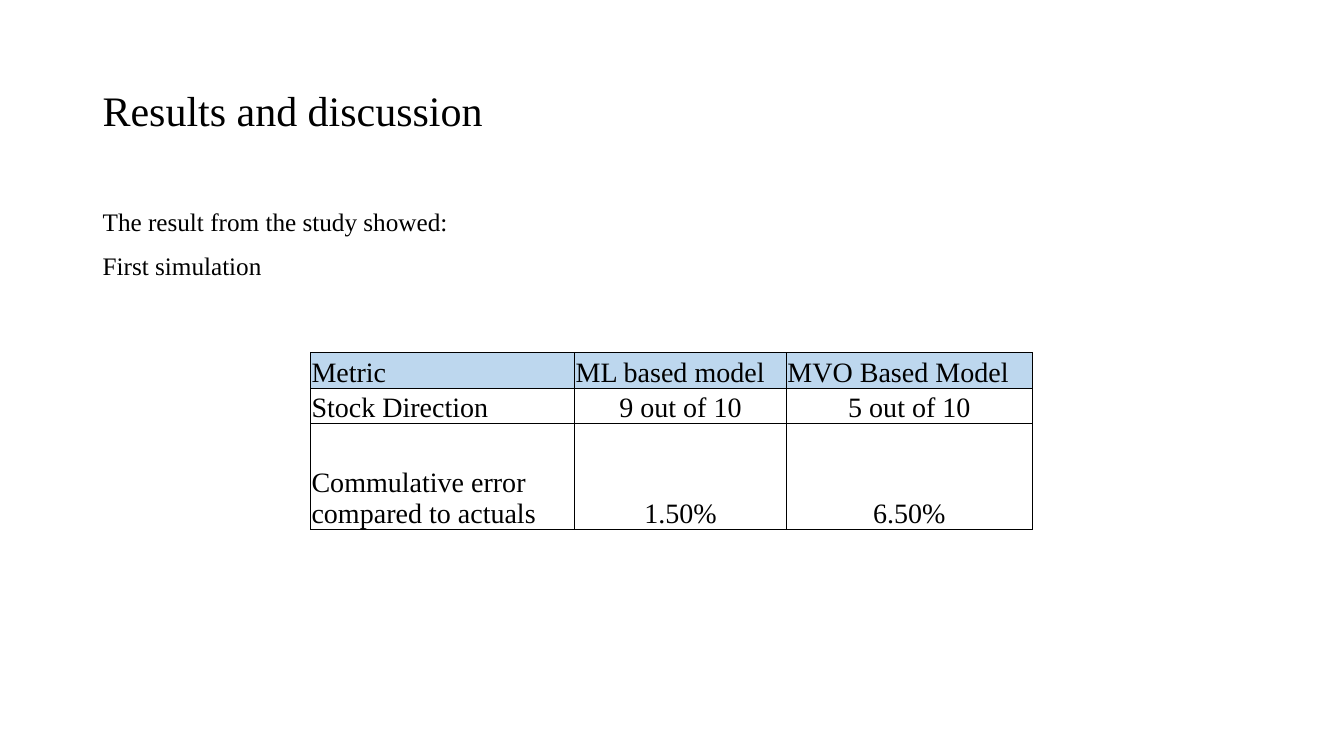
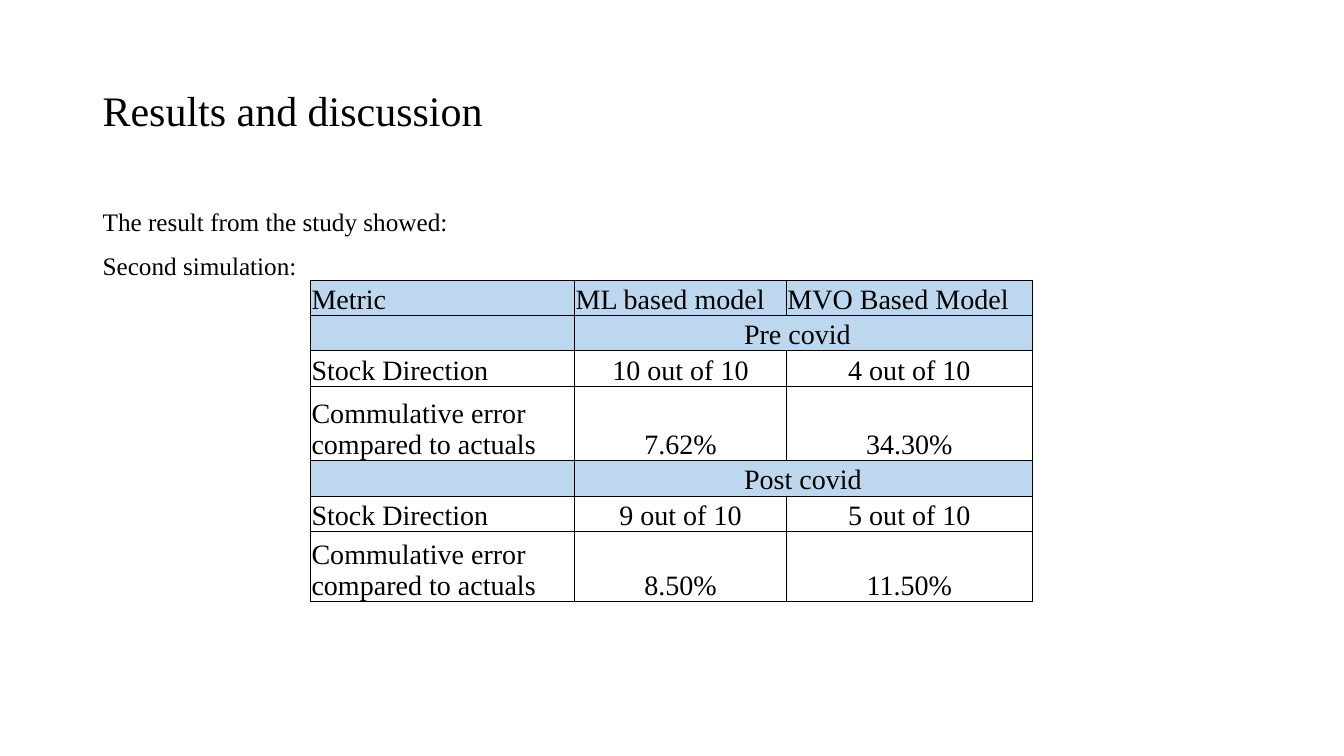
"""Build two slides of simulation results."""
from dataclasses import dataclass

from lxml.etree import SubElement as Sub
from pptx import Presentation as Deck
from pptx.dml.color import RGBColor as Rgb
from pptx.enum.text import MSO_ANCHOR as Anchor, PP_ALIGN as Align
from pptx.oxml.ns import qn
from pptx.util import Inches, Pt


@dataclass(frozen=True)
class Theme:
    """Hold the colours, font and type sizes."""
    ink: Rgb = Rgb.from_string("000000")
    band: Rgb = Rgb.from_string("BDD7EE")
    font: str = "Times New Roman"
    title: int = 30
    body: int = 18
    cell: int = 20
    rule: float = 0.5


THEME = Theme()
LEFT, WIDTH = 0.92, 11.5
COLS = (2.62, 2.1, 2.44)
ROW = 0.35
INDENT = 1.68
HEAD = ("Metric", "ML based model", "MVO Based Model")
TITLE = "Results and discussion"
INTRO = "The result from the study showed:"


def apply(item, form):
    """Set each format value on the item."""
    for name, value in form.items():
        setattr(item, name, value)


def write(para, text, size, form):
    """Write one run of text in a paragraph."""
    apply(para, form)
    run = para.add_run()
    run.text = text
    apply(run.font, {"name": THEME.font, "size": Pt(size)})
    run.font.color.rgb = THEME.ink


def add_text(slide, top, height, lines, size, anchor, form):
    """Add a text box with one paragraph a line."""
    box = slide.shapes.add_textbox(
        Inches(LEFT), Inches(top), Inches(WIDTH), Inches(height))
    frame = box.text_frame
    apply(frame, {"word_wrap": True, "vertical_anchor": anchor})
    for num, line in enumerate(lines):
        para = frame.add_paragraph() if num else frame.paragraphs[0]
        write(para, line, size, form)


def add_edges(cell):
    """Draw thin lines on the four sides of a cell."""
    props = cell._tc.get_or_add_tcPr()
    for side in ("lnL", "lnR", "lnT", "lnB"):
        line = Sub(props, qn("a:" + side), w=str(Pt(THEME.rule)))
        fill = Sub(line, qn("a:solidFill"))
        Sub(fill, qn("a:srgbClr"), val=str(THEME.ink))


def fill_cell(cell, text, band, align, left=0.01):
    """Give a cell its edges, fill and text."""
    add_edges(cell)
    if band:
        cell.fill.solid()
        cell.fill.fore_color.rgb = THEME.band
    else:
        cell.fill.background()
    apply(cell, {
        "vertical_anchor": Anchor.BOTTOM,
        "margin_left": Inches(left),
        "margin_right": Inches(0.01),
        "margin_top": Inches(0.01),
        "margin_bottom": 0,
    })
    if text:
        write(cell.text_frame.paragraphs[0], text, THEME.cell,
              {"alignment": align})


def add_grid(slide, top, rows):
    """Add a table of (height, texts) rows under the head row."""
    rows = [(ROW, HEAD), *rows]
    high = sum(height for height, _ in rows)
    frame = slide.shapes.add_table(
        len(rows), len(COLS), Inches(3.08), Inches(top),
        Inches(sum(COLS)), Inches(high))
    table = frame.table
    apply(table, {"first_row": False, "horz_banding": False})
    for col, width in zip(table.columns, COLS):
        col.width = Inches(width)
    for y, (height, texts) in enumerate(rows):
        table.rows[y].height = Inches(height)
        part = not texts[0]
        for x, text in enumerate(texts):
            band = y == 0 or part
            align = Align.LEFT if band or x == 0 else Align.CENTER
            left = INDENT if part and x == 1 else 0.01
            fill_cell(table.cell(y, x), text, band, align, left)
        if part:
            table.cell(y, 1).merge(table.cell(y, 2))


def part_row(name):
    """Return a row that names a period."""
    return ROW, ("", name, "")


def score_rows(height, hits, errors):
    """Return the two rows of scores for both models."""
    return [
        (ROW, ("Stock Direction", *(f"{hit} out of 10" for hit in hits))),
        (height, ("Commulative error compared to actuals", *errors)),
    ]


def add_page(deck, label, top, rows):
    """Add a slide with title, lead lines and table."""
    slide = deck.slides.add_slide(deck.slide_layouts[6])
    add_text(slide, 0.4, 1.45, [TITLE], THEME.title, Anchor.MIDDLE,
             {"line_spacing": 0.9})
    add_text(slide, 2, 4.76, [INTRO, label], THEME.body, Anchor.TOP,
             {"space_before": Pt(10)})
    add_grid(slide, top, rows)


def main():
    """Build and save the deck."""
    deck = Deck()
    apply(deck, {"slide_width": Inches(13.33), "slide_height": Inches(7.5)})
    add_page(deck, "First simulation", 3.5,
             score_rows(1.05, (9, 5), ("1.50%", "6.50%")))
    add_page(deck, "Second simulation:", 2.78, [
        part_row("Pre covid"),
        *score_rows(0.74, (10, 4), ("7.62%", "34.30%")),
        part_row("Post covid"),
        *score_rows(0.7, (9, 5), ("8.50%", "11.50%")),
    ])
    deck.save("out.pptx")


if __name__ == "__main__":
    main()
